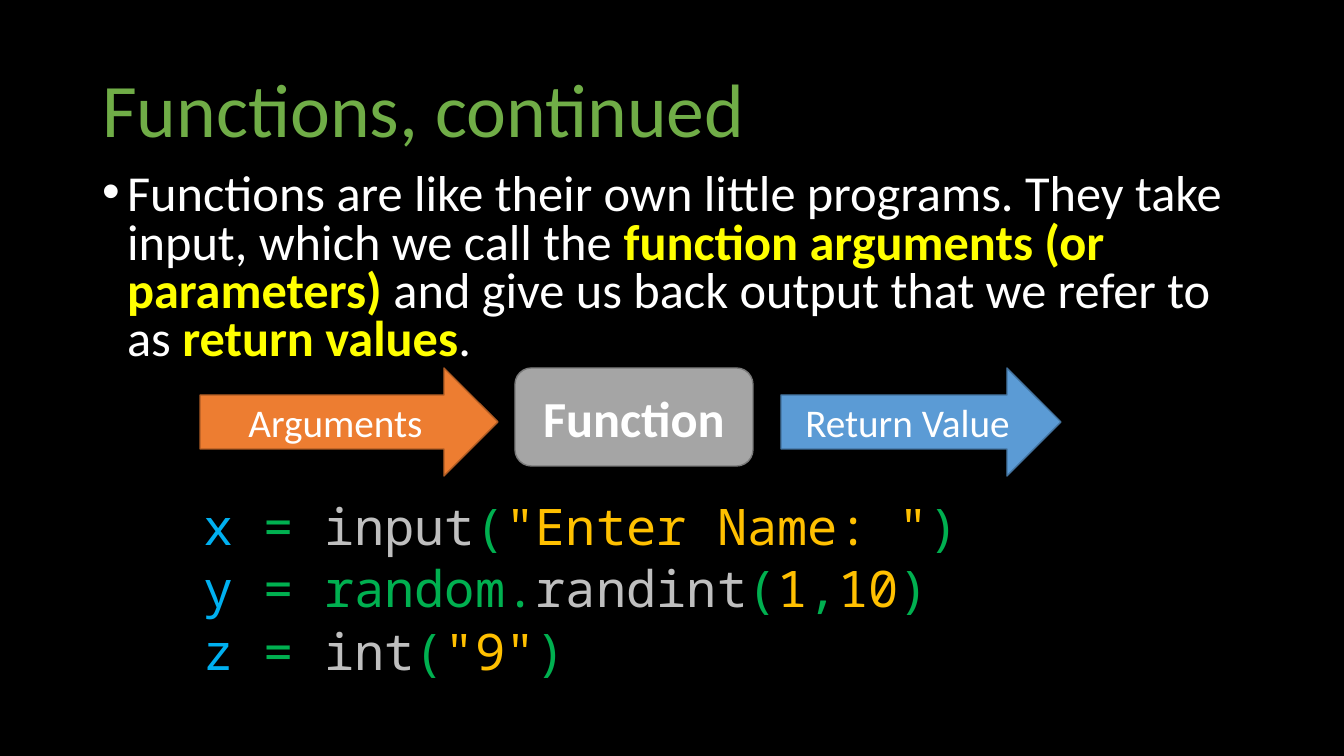
from lxml import etree
from pptx import Presentation
from pptx.dml.color import RGBColor
from pptx.enum.shapes import MSO_SHAPE
from pptx.enum.text import MSO_ANCHOR, MSO_AUTO_SIZE, PP_ALIGN
from pptx.oxml.ns import qn
from pptx.util import Emu, Pt

PX = 914400 / 100.8
ARROW, ROUNDED = MSO_SHAPE.RIGHT_ARROW, MSO_SHAPE.ROUNDED_RECTANGLE
LEFT, CENTER = PP_ALIGN.LEFT, PP_ALIGN.CENTER
MIDDLE, TOP = MSO_ANCHOR.MIDDLE, MSO_ANCHOR.TOP
NO_FIT = MSO_AUTO_SIZE.NONE

SANS, MONO = "Calibri", "Noto Sans Mono"
BLACK = RGBColor(0x00, 0x00, 0x00)
WHITE = RGBColor(0xFF, 0xFF, 0xFF)
YELLOW = RGBColor(0xFF, 0xFF, 0x00)
TITLE_GREEN = RGBColor(0x70, 0xAD, 0x47)
ORANGE, ORANGE_EDGE = RGBColor(0xED, 0x7D, 0x31), RGBColor(0xAF, 0x5C, 0x24)
GRAY, GRAY_EDGE = RGBColor(0xA5, 0xA5, 0xA5), RGBColor(0x7A, 0x7A, 0x7A)
BLUE, BLUE_EDGE = RGBColor(0x5B, 0x9B, 0xD5), RGBColor(0x43, 0x73, 0x9E)
VARIABLE = RGBColor(0x00, 0xB0, 0xF0)
SYNTAX = RGBColor(0x00, 0xB0, 0x50)
CALL = RGBColor(0xBF, 0xBF, 0xBF)
LITERAL = RGBColor(0xFF, 0xC0, 0x00)

DEFINITION = [
    ("Functions are like their own little programs. They take input, "
     "which we call the ", WHITE),
    ("function arguments (or parameters) ", YELLOW),
    ("and give us back output that we refer to as ", WHITE),
    ("return values", YELLOW),
    (".", WHITE),
]
CODE = [
    [("x", VARIABLE), (" = ", SYNTAX), ("input", CALL), ("(", SYNTAX),
     ('"Enter Name: "', LITERAL), (")", SYNTAX)],
    [("y", VARIABLE), (" = random.", SYNTAX), ("randint", CALL), ("(", SYNTAX),
     ("1", LITERAL), (",", SYNTAX), ("10", LITERAL), (")", SYNTAX)],
    [("z", VARIABLE), (" = ", SYNTAX), ("int", CALL), ("(", SYNTAX),
     ('"9"', LITERAL), (")", SYNTAX)],
]


def px(n):
    """Convert pixels to EMU."""
    return Emu(round(n * PX))


def place(s, left, top, width, height):
    """Set the position and size of a shape."""
    s.left, s.top, s.width, s.height = map(px, (left, top, width, height))


def style(r, font, size, color, bold=False):
    """Format one run."""
    r.font.name, r.font.size, r.font.bold = font, Pt(size), bold
    r.font.color.rgb = color


def add_runs(p, parts, font):
    """Add coloured runs to a paragraph, with yellow terms in bold."""
    for text, color in parts:
        r = p.add_run()
        r.text = text
        style(r, font, 36, color, color == YELLOW)


def format_item(p, before, margin, indent, bullet=None):
    """Set spacing, indent and bullet of a body paragraph."""
    p.alignment, p.line_spacing = LEFT, 0.8
    p.space_before, p.space_after = Pt(before), Pt(0)
    pPr = p._p.get_or_add_pPr()
    pPr.set("marL", str(px(margin)))
    pPr.set("indent", str(px(indent)))
    if bullet:
        etree.SubElement(pPr, qn("a:buFont")).set("typeface", "Arial")
        etree.SubElement(pPr, qn("a:buChar")).set("char", bullet)
    else:
        etree.SubElement(pPr, qn("a:buNone"))


def fill_title(s, text):
    """Place and format the title."""
    place(s, 92, 40, 1160, 146)
    tf = s.text_frame
    tf.text = text
    tf.auto_size, tf.vertical_anchor = NO_FIT, MIDDLE
    p = tf.paragraphs[0]
    p.alignment, p.line_spacing = LEFT, 0.9
    style(p.runs[0], SANS, 54, TITLE_GREEN)


def fill_body(s):
    """Write the bulleted definition and the code lines below the diagram."""
    place(s, 92, 168, 1160, 538)
    tf = s.text_frame
    tf.auto_size, tf.vertical_anchor = NO_FIT, TOP
    p = tf.paragraphs[0]
    format_item(p, 10, 25, -25, "•")
    add_runs(p, DEFINITION, SANS)
    for i, parts in enumerate(CODE):
        p = tf.add_paragraph()
        format_item(p, 10 if i else 100, 101, 0)
        add_runs(p, parts, MONO)


def add_block(slide, kind, box, text, size, fill, edge, bold=False):
    """Add one labelled shape of the function diagram."""
    s = slide.shapes.add_shape(kind, *map(px, box))
    s.shadow.inherit = False
    s.fill.solid()
    s.fill.fore_color.rgb = fill
    s.line.color.rgb, s.line.width = edge, Pt(1)
    tf = s.text_frame
    tf.text = text
    tf.word_wrap, tf.vertical_anchor = True, MIDDLE
    p = tf.paragraphs[0]
    p.alignment = CENTER
    style(p.runs[0], SANS, size, WHITE, bold)


def main():
    """Build and save the slide."""
    prs = Presentation()
    prs.slide_width, prs.slide_height = px(1344), px(756)
    slide = prs.slides.add_slide(prs.slide_layouts[1])
    slide.background.fill.solid()
    slide.background.fill.fore_color.rgb = BLACK
    fill_title(slide.shapes.title, "Functions, continued")
    fill_body(slide.placeholders[1])
    top = 368
    add_block(slide, ROUNDED, (515, top, 238, 98), "Function", 36,
              GRAY, GRAY_EDGE, True)
    add_block(slide, ARROW, (200, top, 298, 108), "Arguments", 28,
              ORANGE, ORANGE_EDGE)
    add_block(slide, ARROW, (781, top, 280, 108), "Return Value", 28,
              BLUE, BLUE_EDGE)
    prs.save("out.pptx")


main()
